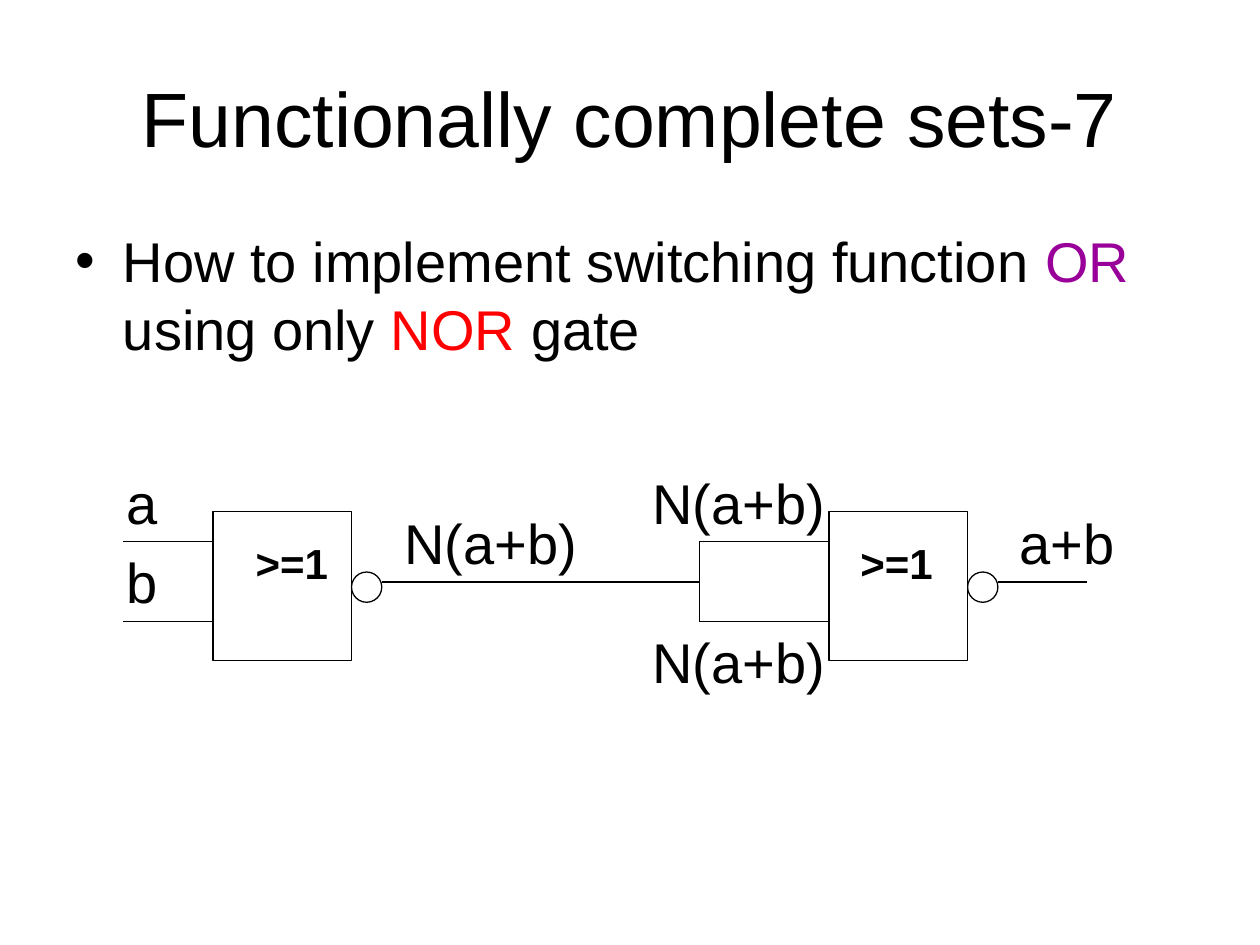
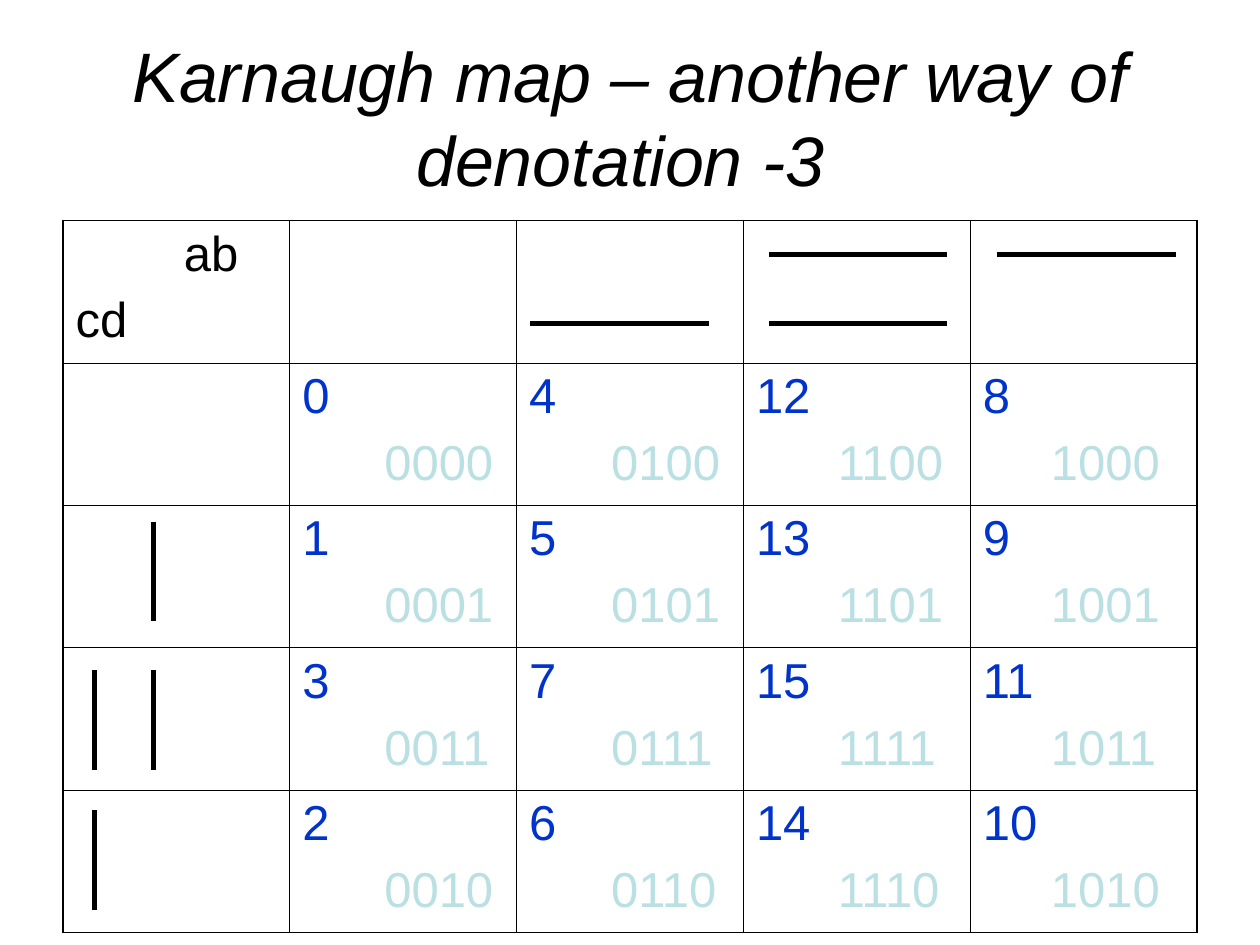
"""Build two slides on switching functions: a NOR-gate circuit and a Karnaugh map."""
import lxml.etree
import pptx
import pptx.dml.color
import pptx.enum.shapes
import pptx.enum.text
import pptx.oxml.ns
import pptx.util

Inches = pptx.util.Inches
Pt = pptx.util.Pt
SHAPES = pptx.enum.shapes.MSO_SHAPE
FONT = "Arial"
BLACK, PURPLE, RED = "000000", "990099", "FF0000"
BLUE, PALE = "0033CC", "BBE0E3"
THIN, THICK = 0.75, 3
GRAY_CODE = [0, 1, 3, 2]
MAP_LEFT, MAP_TOP, CELL_WIDTH, CELL_HEIGHT = 0.5, 1.75, 1.8, 1.13


def color(hex_string):
    return pptx.dml.color.RGBColor.from_string(hex_string)


def add_xml(parent, tag, **attributes):
    return lxml.etree.SubElement(parent, pptx.oxml.ns.qn(tag), attributes)


def style(font, size, hex_string=BLACK, bold=False, italic=False):
    font.name, font.size = FONT, Pt(size)
    font.bold, font.italic = bold, italic
    font.color.rgb = color(hex_string)


def place(shape, left, top, width, height):
    shape.left, shape.top = Inches(left), Inches(top)
    shape.width, shape.height = Inches(width), Inches(height)


def add_page(deck, layout_index, title, size, italic=False):
    page = deck.slides.add_slide(deck.slide_layouts[layout_index])
    box = page.shapes.title
    place(box, 0.5, 0.3, 9, 1.25)
    frame = box.text_frame
    frame.text = title
    frame.auto_size = pptx.enum.text.MSO_AUTO_SIZE.NONE
    frame.vertical_anchor = pptx.enum.text.MSO_ANCHOR.MIDDLE
    para = frame.paragraphs[0]
    para.alignment = pptx.enum.text.PP_ALIGN.CENTER
    style(para.font, size, italic=italic)
    return page


def add_bullet(page, spans):
    box = page.placeholders[1]
    place(box, 0.5, 1.75, 9, 4.95)
    box.text_frame.auto_size = pptx.enum.text.MSO_AUTO_SIZE.NONE
    para = box.text_frame.paragraphs[0]
    para.space_before = Pt(8)
    for text, hex_string in spans:
        span = para.add_run()
        span.text = text
        style(span.font, 32, hex_string)


def add_label(page, text, left, top, width, height=0.64, size=32, before=8, bold=False):
    box = page.shapes.add_textbox(Inches(left), Inches(top), Inches(width), Inches(height))
    frame = box.text_frame
    frame.word_wrap = True
    frame.auto_size = pptx.enum.text.MSO_AUTO_SIZE.SHAPE_TO_FIT_TEXT
    frame.text = text
    para = frame.paragraphs[0]
    para.space_before = Pt(before)
    style(para.font, size, bold=bold)


def add_line(page, start, end, weight=THIN):
    ends = [Inches(length) for length in (*start, *end)]
    line = page.shapes.add_connector(pptx.enum.shapes.MSO_CONNECTOR.STRAIGHT, *ends)
    line.line.color.rgb = color(BLACK)
    line.line.width = Pt(weight)
    add_xml(line._element.spPr, "a:effectLst")


def add_outline(page, kind, left, top, width, height):
    shape = page.shapes.add_shape(kind, Inches(left), Inches(top), Inches(width), Inches(height))
    shape.shadow.inherit = False
    shape.fill.background()
    shape.line.color.rgb = color(BLACK)
    shape.line.width = Pt(THIN)


def add_nor_gate(page, left, input_left, label_left):
    add_outline(page, SHAPES.RECTANGLE, left, 4.06, 1.1, 1.18)
    add_outline(page, SHAPES.OVAL, left + 1.1, 4.54, 0.24, 0.24)
    for y in (4.3, 4.93):
        add_line(page, (input_left, y), (left, y))
    add_line(page, (left + 1.34, 4.62), (left + 2.05, 4.62))
    add_label(page, ">=1", label_left, 4.22, 0.87, 0.5, size=24, before=15, bold=True)


def add_circuit(page):
    add_nor_gate(page, 1.69, 0.98, 1.93)
    add_nor_gate(page, 6.58, 5.55, 6.73)
    add_line(page, (3.74, 4.62), (5.55, 4.62))
    add_line(page, (5.55, 4.3), (5.55, 4.62))
    add_line(page, (5.55, 4.62), (5.55, 4.93))
    for text, left, top, width in [
        ("a", 0.91, 3.67, 0.46),
        ("b", 0.91, 4.3, 0.46),
        ("N(a+b)", 3.11, 3.99, 1.97),
        ("N(a+b)", 5.08, 3.67, 1.73),
        ("N(a+b)", 5.08, 4.93, 1.73),
        ("a+b", 7.99, 3.99, 1.18),
    ]:
        add_label(page, text, left, top, width)


def set_borders(cell, row, column, last):
    outer = {"L": column == 0, "R": column == last, "T": row == 0, "B": row == last}
    properties = cell._tc.get_or_add_tcPr()
    for side, is_outer in outer.items():
        border = add_xml(properties, f"a:ln{side}", w=str(Pt(1.08 if is_outer else 0.45)))
        fill = add_xml(border, "a:solidFill")
        add_xml(fill, "a:srgbClr", val=BLACK)


def fill_cell(cell, lines):
    cell.text = "\n".join(text for text, _, _ in lines)
    for para, (_, hex_string, indent) in zip(cell.text_frame.paragraphs, lines):
        para.space_before = Pt(7)
        para._p.get_or_add_pPr().set("marL", str(Inches(indent)))
        style(para.font, 28, hex_string)


def add_karnaugh_table(page):
    count = len(GRAY_CODE) + 1
    table = page.shapes.add_table(
        count, count, Inches(MAP_LEFT), Inches(MAP_TOP),
        Inches(CELL_WIDTH * count), Inches(CELL_HEIGHT * count)).table
    table.first_row = table.horz_banding = False
    for row in range(count):
        for column in range(count):
            cell = table.cell(row, column)
            set_borders(cell, row, column, count - 1)
            cell.fill.background()
            if row and column:
                number = 4 * GRAY_CODE[column - 1] + GRAY_CODE[row - 1]
                indent = 0.54 if column == count - 1 else 0.65
                fill_cell(cell, [(str(number), BLUE, 0), (f"{number:04b}", PALE, indent)])
    fill_cell(table.cell(0, 0), [("ab", BLACK, 0.86), ("cd", BLACK, 0)])


def add_variable_bars(page):
    for left, y in [(4.21, 2.57), (6.1, 2.02), (6.1, 2.57), (7.91, 2.02)]:
        add_line(page, (left, y), (left + 1.42, y), THICK)
    for x, top in [(1.22, 4.14), (1.22, 5.32), (0.75, 5.32), (0.75, 6.43)]:
        add_line(page, (x, top), (x, top + 0.79), THICK)


def main():
    deck = pptx.Presentation()
    deck.slide_width, deck.slide_height = Inches(10), Inches(7.5)

    page = add_page(deck, 1, "Functionally complete sets-7", 44)
    add_bullet(page, [
        ("How to implement switching function ", BLACK),
        ("OR", PURPLE),
        (" using only ", BLACK),
        ("NOR", RED),
        (" gate", BLACK),
    ])
    add_circuit(page)

    page = add_page(deck, 5, "Karnaugh map – another way of denotation -3 ", 40, italic=True)
    add_karnaugh_table(page)
    add_variable_bars(page)

    deck.save("out.pptx")


if __name__ == "__main__":
    main()
